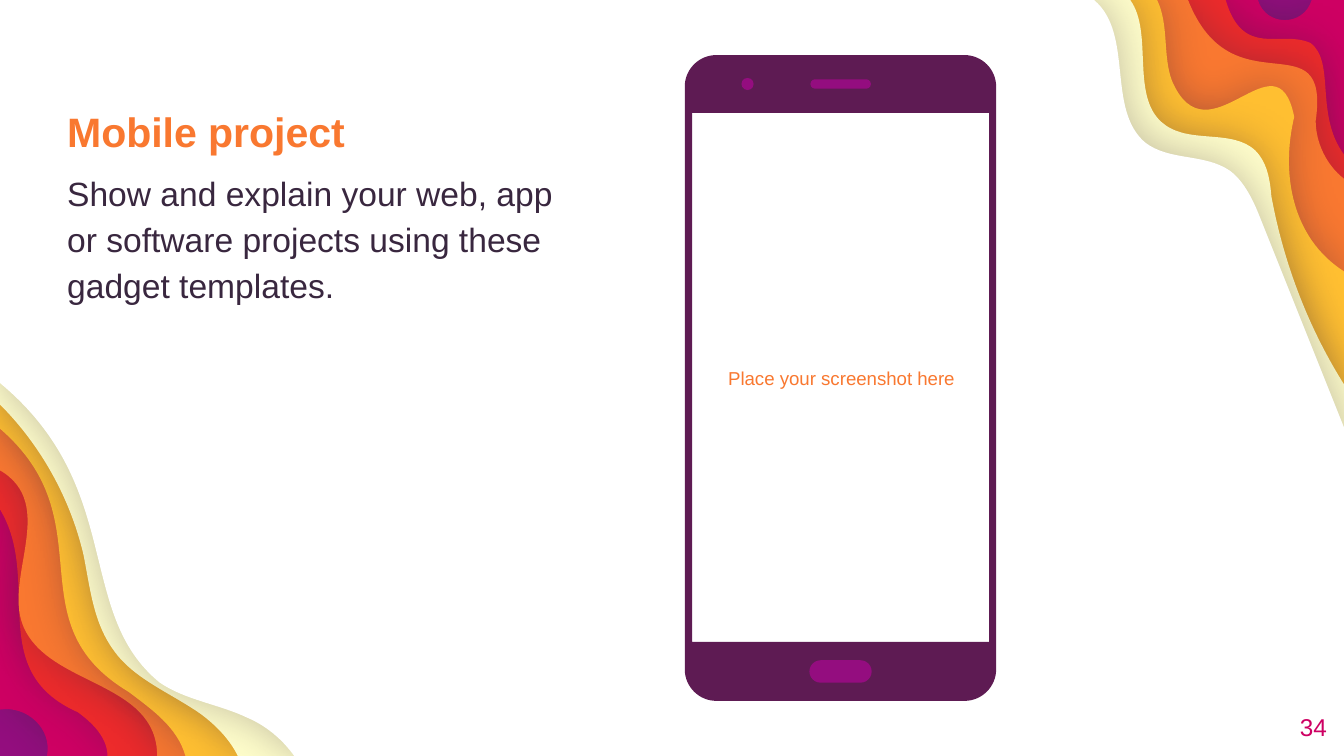
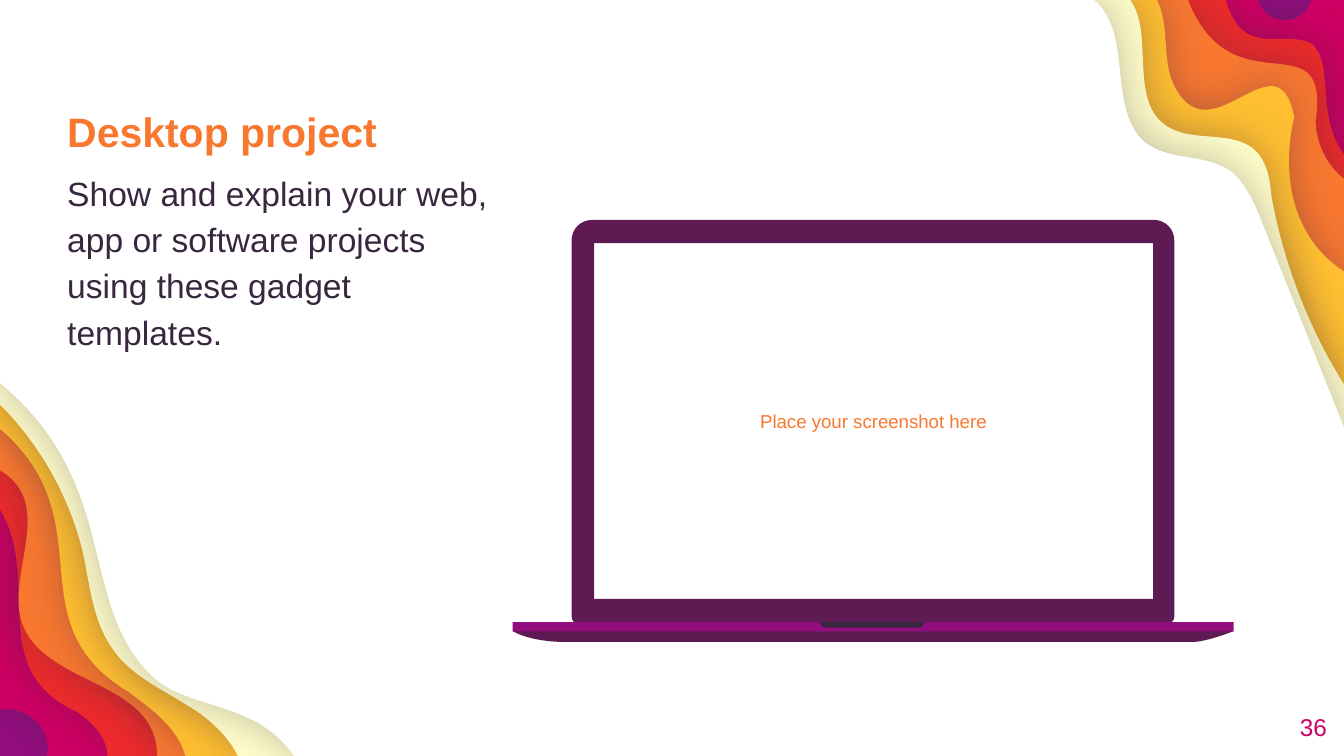
from lxml.etree import SubElement
from pptx import Presentation
from pptx.dml.color import RGBColor
from pptx.enum.shapes import MSO_SHAPE as Preset
from pptx.enum.text import MSO_ANCHOR as Anchor, PP_ALIGN as Align
from pptx.oxml.ns import qn
from pptx.util import Emu, Inches, Pt

# The slide is a grid of square cells, a tenth of an inch each.
COLUMNS, ROWS = 100, 56.25
CELL = Inches(0.1)

FONT = "Arial"
PURPLE, PLUM, INK = "940D7F", "5E1B53", "39273F"
MAGENTA, ORANGE = "CE0063", "F97830"

TITLE = {"size": Pt(22), "bold": True, "name": FONT}
BODY = {"size": Pt(18), "bold": False, "name": FONT}
CAPTION = {"size": Pt(10), "name": FONT}
PAGE_NUMBER = {"size": Pt(13), "name": FONT}

# Each wave: colour, edge across the top right corner (from the right side),
# edge across the bottom left corner (from the left side).
# Two numbers are a point, six are a cubic curve.
WAVES = [
    (MAGENTA,
     [(100, 0), (97.6, 0), (97, 2, 94.2, 2, 93.6, 0)],
     [(0, 52.8), (2, 52.5, 3.9, 54.2, 3.5, ROWS)]),
    ("ED2B2B",
     [(100, 11.5), (97.8, 8.5, 99.4, 4.6, 97.5, 3.2),
      (95.3, 2.2, 92.5, 4.4, 91.2, 0)],
     [(0, 37.9), (3.2, 43.2, -1.2, 49.9, 5.8, 53),
      (6.9, 53.8, 8, 54.9, 8, ROWS)]),
    (ORANGE,
     [(100, 13.3), (98.7, 12.3, 97.9, 10.6, 97.9, 9),
      (99, 1.2, 91.7, 8.4, 88.4, 0)],
     [(0, 35), (4.3, 37.5, 0.3, 42.9, 1.7, 46.5),
      (3.5, 51.1, 11.7, 50.6, 11.7, ROWS)]),
    ("FFBF31",
     [(100, 20.2), (96.1, 17.7, 95.3, 12.9, 96.3, 8.7),
      (95, 2.2, 89.9, 12.3, 87.2, 6), (86.5, 4.1, 87, 1.9, 86.1, 0)],
     [(0, 31.9), (8, 38.8, 0.9, 46.3, 9.6, 51.5),
      (11.3, 52.8, 13.2, 54.1, 13.8, ROWS)]),
    ("FEFDCA",
     [(100, 28.6), (97.3, 24.3, 95.5, 19.5, 94.6, 14.6),
      (94.5, 13.4, 94.3, 12.1, 93.4, 11.2),
      (91.7, 9.6, 88.6, 10.7, 86.7, 9.3), (84, 7.4, 85.9, 2.5, 84.1, 0)],
     [(0, 30.1), (3, 33.1, 5.2, 37, 6.2, 41.2),
      (6.7, 43.6, 6.9, 46.2, 8.4, 48.3), (9.9, 50.5, 12.6, 51.5, 14.9, 53.1),
      (16, 53.9, 17.1, 55, 17.7, ROWS)]),
    ("FFFFFF",
     [(100, 31.8), (93.8, 16.3), (93.3, 15, 92.6, 13.5, 91.5, 12.7),
      (89.6, 11.4, 87, 12, 85.2, 10.6), (82.3, 8.1, 84.4, 2.5, 81.4, 0)],
     [(0, 28.5), (9.4, 36.3, 5.5, 45.6, 11.9, 50.8),
      (13.8, 52.1, 16.3, 52.4, 18.4, 53.4), (19.8, 54, 21, 55, 21.9, ROWS)]),
]


def cells(*lengths):
    return [Emu(round(length * CELL)) for length in lengths]


def colour(hex_string):
    return RGBColor.from_string(hex_string)


def set_values(target, values):
    for name, value in values.items():
        setattr(target, name, value)


def paint(shape, fill):
    shape.fill.solid()
    shape.fill.fore_color.rgb = colour(fill)
    shape.line.fill.background()
    shape.shadow.inherit = False


def add_soft_shadow(shape):
    effects = shape.element.spPr.find(qn("a:effectLst"))
    shadow = SubElement(effects, qn("a:outerShdw"), blurRad=str(Pt(22.5)),
                        dist=str(Pt(0.75)), dir="0", algn="bl", rotWithShape="0")
    tint = SubElement(shadow, qn("a:srgbClr"), val=INK)
    SubElement(tint, qn("a:alpha"), val="30000")


def write_contours(shape, contours):
    """Replace the outline of a freeform by points and true cubic curves."""
    outline = next(shape.element.iter(qn("a:path")))
    for command in list(outline):
        outline.remove(command)
    for contour in contours:
        for index, item in enumerate(contour):
            tag = "a:cubicBezTo" if len(item) == 6 else "a:lnTo" if index else "a:moveTo"
            command = SubElement(outline, qn(tag))
            lengths = cells(*item)
            for x, y in zip(lengths[::2], lengths[1::2]):
                SubElement(command, qn("a:pt"),
                           x=str(x - shape.left), y=str(y - shape.top))
        SubElement(outline, qn("a:close"))


def add_outline(slide, fill, *contours):
    """Draw closed contours as one shape; a contour inside another is a hole."""
    first, *rest = [cells(*item[-2:]) for item in contours[0]]
    builder = slide.shapes.build_freeform(*first, scale=1.0)
    builder.add_line_segments(rest, close=True)
    shape = builder.convert_to_shape()
    write_contours(shape, contours)
    paint(shape, fill)
    return shape


def add_block(slide, preset, fill, *box):
    shape = slide.shapes.add_shape(preset, *cells(*box))
    paint(shape, fill)
    return shape


def add_pill(slide, *box):
    add_block(slide, Preset.ROUNDED_RECTANGLE, PURPLE, *box).adjustments[0] = 0.5


def add_text(slide, box, lines, align=Align.LEFT, anchor=Anchor.MIDDLE,
             inset=0, spacing=None):
    """Write lines of (text, font values, colour), one paragraph each."""
    frame = slide.shapes.add_textbox(*cells(*box)).text_frame
    set_values(frame, {"word_wrap": True, "vertical_anchor": anchor})
    margins = ("margin_left", "margin_top", "margin_right", "margin_bottom")
    set_values(frame, dict.fromkeys(margins, cells(inset)[0]))
    for index, (text, font, ink) in enumerate(lines):
        paragraph = frame.add_paragraph() if index else frame.paragraphs[0]
        paragraph.alignment = align
        if spacing:
            paragraph.line_spacing = spacing
        if index:
            paragraph.space_before = Pt(6)
        run = paragraph.add_run()
        run.text = text
        set_values(run.font, font)
        run.font.color.rgb = colour(ink)


def rectangle(left, top, right, bottom):
    return [(left, top), (left, bottom), (right, bottom), (right, top)]


def rounded(left, top, right, bottom, top_radius, bottom_radius):
    near, far = 0.45 * top_radius, 0.45 * bottom_radius
    return [
        (right - top_radius, top), (left + top_radius, top),
        (left + near, top, left, top + near, left, top + top_radius),
        (left, bottom - bottom_radius),
        (left, bottom - far, left + far, bottom, left + bottom_radius, bottom),
        (right - bottom_radius, bottom),
        (right - far, bottom, right, bottom - far, right, bottom - bottom_radius),
        (right, top + top_radius),
        (right, top + near, right - near, top, right - top_radius, top)]


def tray(left, top, right, bottom, left_slope, right_slope):
    """A flat top with a base that curves up at both ends."""
    return [(left, top),
            (left, top, left + 0.3 * left_slope, bottom, left + left_slope, bottom),
            (right - right_slope, bottom),
            (right - 0.65 * right_slope, bottom, right, top, right, top)]


def add_waves(slide, layout):
    """Draw the waves and hand them to the layout, which all slides share."""
    for fill, top_edge, left_edge in WAVES:
        contour = [*top_edge, (0, 0), *left_edge, (COLUMNS, ROWS)]
        wave = add_outline(slide, fill, contour)
        add_soft_shadow(wave)
        layout.shapes.element.append(wave.element)


def add_phone(slide):
    add_outline(slide, PLUM, rounded(50.95, 4.1, 74.12, 52.15, 2.35, 2.35),
                rectangle(51.5, 8.4, 73.6, 47.77))
    add_pill(slide, 60.23, 49.13, 4.63, 1.67)
    add_block(slide, Preset.OVAL, PURPLE, 55.17, 5.8, 0.9, 0.9)
    add_pill(slide, 60.3, 5.9, 4.5, 0.7)


def add_laptop(slide):
    add_outline(slide, PLUM, rounded(42.53, 16.37, 87.37, 46.4, 1.5, 0.5),
                rectangle(44.2, 18.1, 85.8, 44.57))
    add_outline(slide, PLUM, tray(38.15, 46.96, 91.8, 47.77, 4, 3.1))
    add_block(slide, Preset.RECTANGLE, PURPLE, 38.15, 46.3, 53.65, 0.68)
    add_outline(slide, INK, tray(60.97, 46.3, 68.85, 46.7, 0.5, 0.4))


def add_project_slide(presentation, title, text_width, screen, add_device, number):
    slide = presentation.slides.add_slide(presentation.slide_layouts[6])
    description = ("Show and explain your web, app or software projects "
                   "using these gadget templates.")
    add_text(slide, (5, 7.35, text_width, 17.8),
             [(title, TITLE, ORANGE), (description, BODY, INK)],
             anchor=Anchor.TOP, spacing=1.15)
    add_text(slide, screen, [("Place your screenshot here", CAPTION, ORANGE)],
             align=Align.CENTER, inset=1)
    add_text(slide, (92.73, 51.9, 6, 4.3), [(number, PAGE_NUMBER, MAGENTA)],
             align=Align.RIGHT)
    add_device(slide)
    return slide


def main():
    presentation = Presentation()
    presentation.slide_width, presentation.slide_height = cells(COLUMNS, ROWS)
    background = presentation.slide_master.background.fill
    background.solid()
    background.fore_color.rgb = colour(PURPLE)
    mobile = add_project_slide(presentation, "Mobile project", 37.7,
                               (51.6, 8.6, 22, 39.1), add_phone, "34")
    add_waves(mobile, mobile.slide_layout)
    add_project_slide(presentation, "Desktop project", 33.1,
                      (44.13, 18, 41.7, 26.6), add_laptop, "36")
    presentation.save("out.pptx")


if __name__ == "__main__":
    main()
